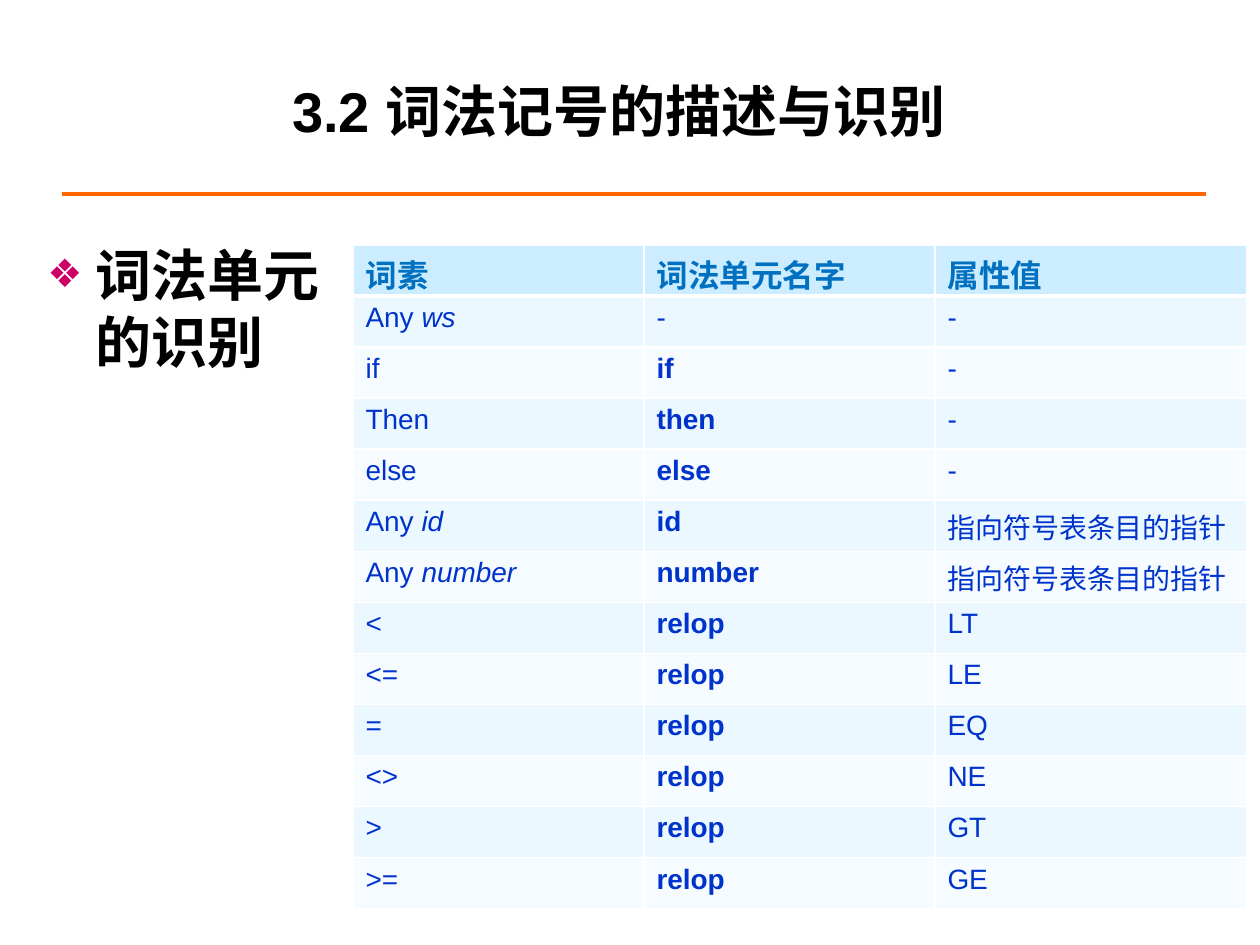
from lxml.etree import SubElement
from pptx import Presentation
from pptx.dml.color import RGBColor
from pptx.enum.shapes import MSO_CONNECTOR as Connector
from pptx.enum.text import MSO_ANCHOR as Anchor, PP_ALIGN as Align
from pptx.oxml.ns import qn
from pptx.util import Pt

PX = 914400 / 126
COLORS = {
    "white": "FFFFFF", "text": "000000", "rule": "FF6600", "bullet": "CC0066",
    "header": "0070C0", "entry": "0033CC", "header_fill": "CCECFF",
    "odd_fill": "ECF8FF", "even_fill": "F6FBFF",
}
HEADINGS = ("词素", "词法单元名字", "属性值")
POINTER = "指向符号表条目的指针"
LEXEMES = [
    ("Any ws", "-", "-"),
    ("if", "if", "-"),
    ("Then", "then", "-"),
    ("else", "else", "-"),
    ("Any id", "id", POINTER),
    ("Any number", "number", POINTER),
    ("<", "relop", "LT"),
    ("<=", "relop", "LE"),
    ("=", "relop", "EQ"),
    ("<>", "relop", "NE"),
    (">", "relop", "GT"),
    (">=", "relop", "GE"),
]


def px(length):
    return round(length * PX)


def rgb(name):
    return RGBColor.from_string(COLORS[name])


def style(paragraph, size, color, bold):
    font = paragraph.font
    font.name, font.size, font.bold = "Arial", Pt(size), bold
    font.color.rgb = rgb(color)


def add_text(slide, box, text, anchor):
    frame = slide.shapes.add_textbox(*map(px, box)).text_frame
    frame.word_wrap = True
    frame.vertical_anchor = anchor
    paragraph = frame.paragraphs[0]
    paragraph.text = text
    style(paragraph, 32, "text", True)
    return paragraph


def add_title(slide, box):
    title = add_text(slide, box, "3.2 词法记号的描述与识别", Anchor.MIDDLE)
    title.alignment = Align.CENTER


def add_rule(slide, box):
    left, top, width, height = box
    rule = slide.shapes.add_connector(
        Connector.STRAIGHT, px(left), px(top), px(left + width), px(top + height))
    rule.line.color.rgb = rgb("rule")
    rule.line.width = Pt(2.25)
    SubElement(rule._element.spPr, qn("a:effectLst"))


def add_topic(slide, box):
    topic = add_text(slide, box, "词法单元的识别", Anchor.TOP)
    topic.space_before = Pt(6.4)
    props = topic._p.get_or_add_pPr()
    props.set("marL", str(px(48)))
    props.set("indent", str(px(-48)))
    defaults = props.find(qn("a:defRPr"))
    bullet_color = SubElement(props, qn("a:buClr"))
    SubElement(bullet_color, qn("a:srgbClr"), val=COLORS["bullet"])
    SubElement(props, qn("a:buSzPct"), val="70000")
    SubElement(props, qn("a:buFont"), typeface="Arial")
    SubElement(props, qn("a:buChar"), char="❖")
    props.append(defaults)


def add_borders(cell, top, bottom):
    props = cell._tc.get_or_add_tcPr()
    for side, width in (("lnL", 1), ("lnR", 1), ("lnT", top), ("lnB", bottom)):
        border = SubElement(props, qn(f"a:{side}"), w=str(Pt(width)))
        fill = SubElement(border, qn("a:solidFill"))
        SubElement(fill, qn("a:srgbClr"), val=COLORS["white"])


def fill_cell(cell, text, row, column):
    add_borders(cell, 3 if row == 1 else 1, 3 if row == 0 else 1)
    cell.fill.solid()
    paragraph = cell.text_frame.paragraphs[0]
    if row == 0:
        cell.fill.fore_color.rgb = rgb("header_fill")
        style(paragraph, 18, "header", True)
    else:
        cell.fill.fore_color.rgb = rgb("odd_fill" if row % 2 else "even_fill")
        style(paragraph, 16, "entry", column == 1 and text != "-")
    prefix, any_word, pattern = text.rpartition("Any ")
    if any_word:
        paragraph.add_run().text = any_word
    name = paragraph.add_run()
    name.text = pattern
    if any_word:
        name.font.italic = True


def add_lexeme_table(slide, box):
    rows = [HEADINGS, *LEXEMES]
    table = slide.shapes.add_table(len(rows), len(HEADINGS), *map(px, box)).table
    for column, width in zip(table.columns, (291, 291, 312)):
        column.width = px(width)
    for r, entries in enumerate(rows):
        table.rows[r].height = px(box[3] / len(rows))
        for c, text in enumerate(entries):
            fill_cell(table.cell(r, c), text, r, c)


def main():
    deck = Presentation()
    deck.slide_width, deck.slide_height = px(1260), px(945)
    slide = deck.slides.add_slide(deck.slide_layouts[6])
    add_rule(slide, (62, 194, 1144, 0))
    add_title(slide, (84, 32, 1071, 157))
    add_topic(slide, (35, 234, 328, 556))
    add_lexeme_table(slide, (353, 245, 894, 664))
    deck.save("out.pptx")


if __name__ == "__main__":
    main()
